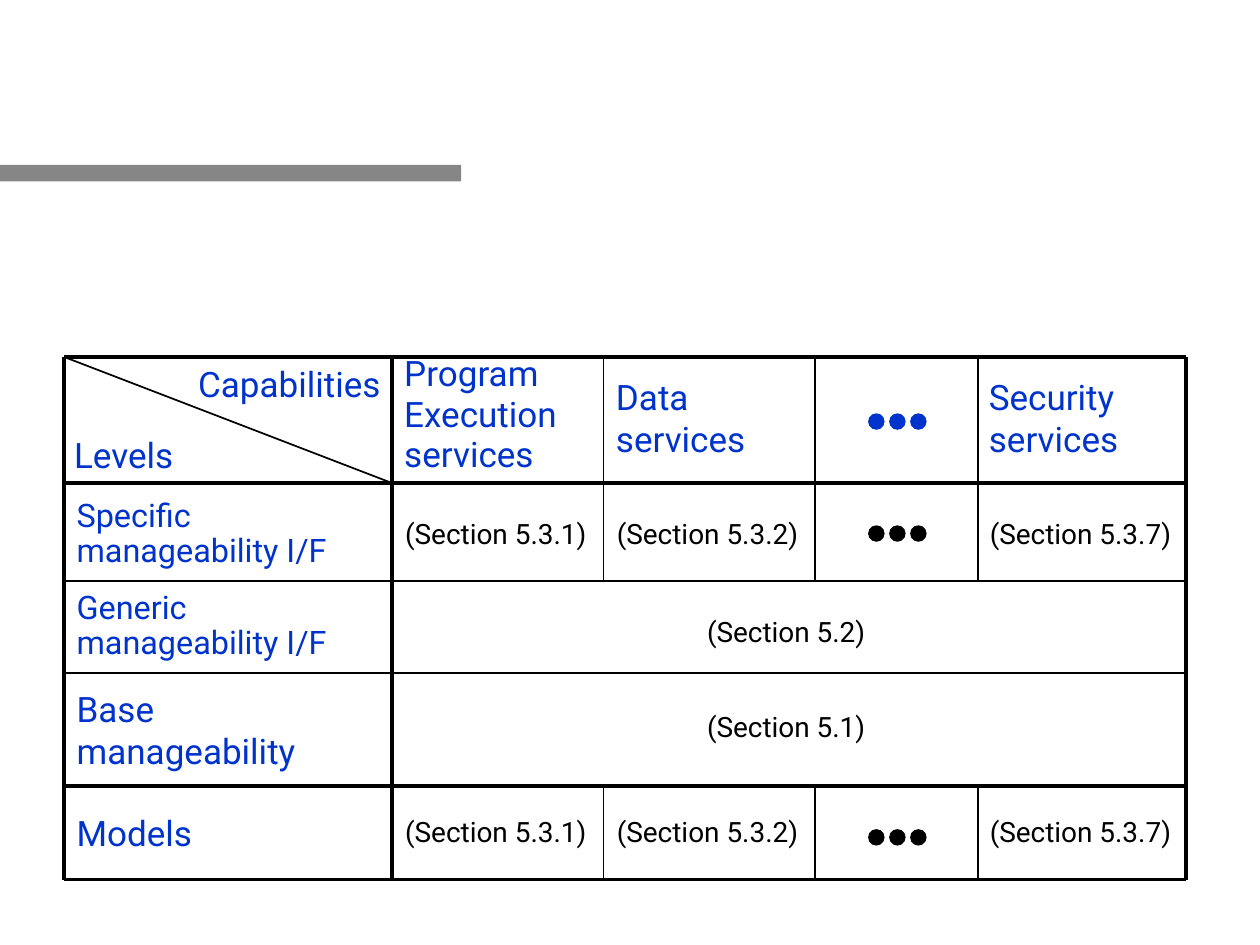
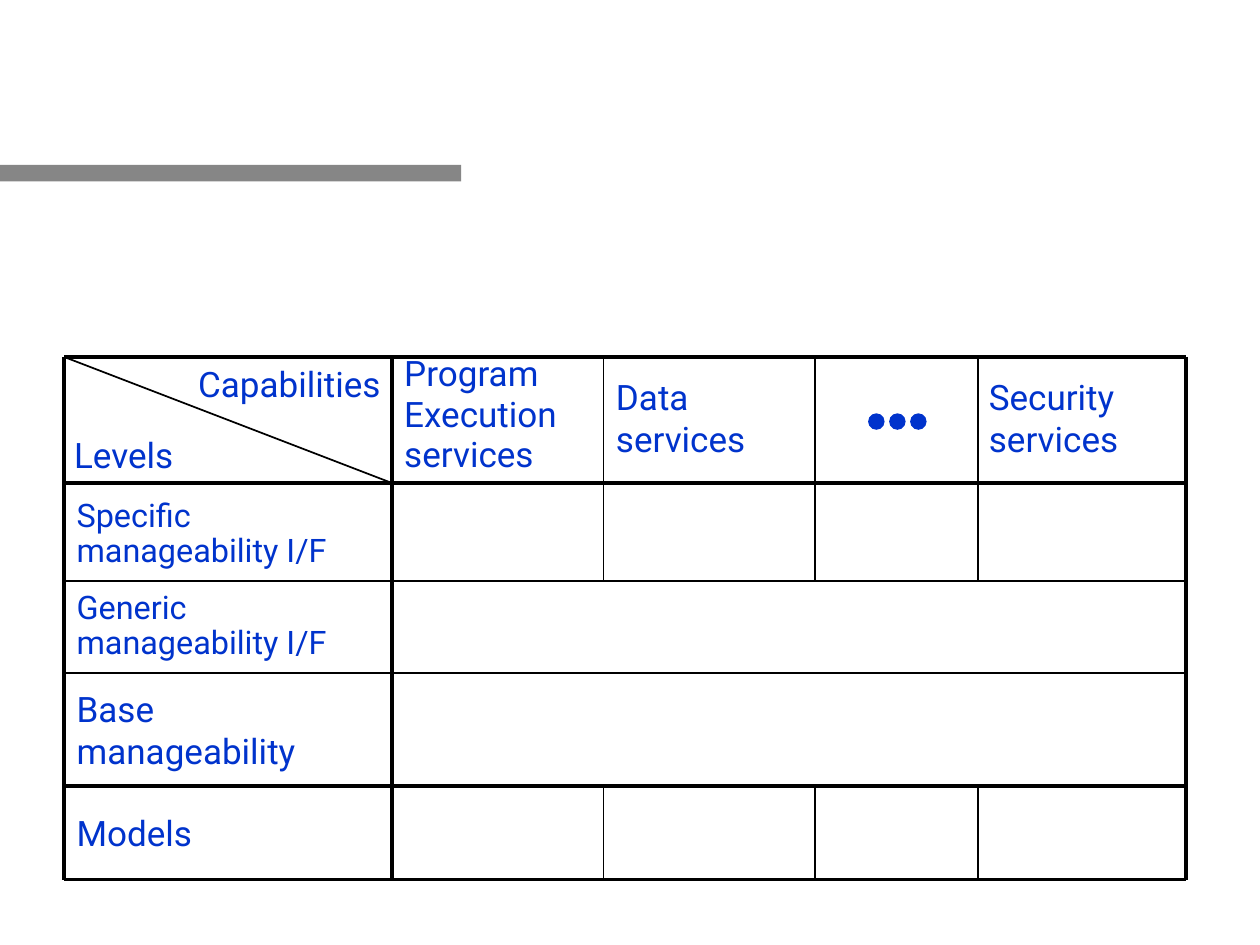
from lxml import etree
from pptx import Presentation
from pptx.dml.color import RGBColor
from pptx.enum import shapes, text
from pptx.oxml import ns
from pptx.util import Pt

BLUE, BLACK, GRAY = "0033CC", "000000", "868686"
THICK, THIN = 2.25, 1
COLS = [36.7, 223.9, 344.9, 465.8, 558.7, 677.5]
ROWS = [204, 276, 332, 384.5, 449.3, 502.6]
LEFT, RIGHT, TOP, BOTTOM = COLS[0], COLS[-1], ROWS[0], ROWS[-1]
LABEL_W, SERVICE_W, SECTION_W = 187.2, 121, 118.8
SECTION_H = 26.6

LINES = [(LEFT, y, RIGHT, y, THIN if y in ROWS[2:4] else THICK) for y in ROWS]
LINES += [(x, TOP, x, BOTTOM, THICK) for x in (LEFT, COLS[1], RIGHT)]
LINES += [(x, y1, x, y2, THIN) for x in COLS[2:5]
          for y1, y2 in ((TOP, ROWS[2]), (ROWS[4], BOTTOM))]
LINES.append((LEFT, TOP, COLS[1], ROWS[1], THIN))

LEVELS = [
    ("Specific manageability I/F", 278.6, ROWS[2], 18.5, 0.9),
    ("Generic manageability I/F", ROWS[2], ROWS[3], 18.5, 0.9),
    ("Base manageability", ROWS[3], ROWS[4], 20, 1),
    ("Models", ROWS[4], BOTTOM, 20, 1),
]
SERVICES = [
    ("Program\nExecution\nservices", COLS[1], 0.75),
    ("Data services", COLS[2], 1),
    ("Security services", 558, 1),
]
SECTIONS = [(f"(Section 5.3.{n})", x, y, SECTION_W)
            for y in (291.6, 462.2)
            for n, x in ((1, COLS[1]), (2, COLS[2]), (7, 558))]
SECTIONS += [("(Section 5.2)", 396.7, 347.8, 105.1),
             ("(Section 5.1)", 396.7, 401.8, 105.1)]


def rgb(value):
    return RGBColor.from_string(value)


def add_text(s, content, x, y, w, h, size=20, color=BLUE, spacing=1, wrap=True,
             align=text.PP_ALIGN.LEFT, anchor=text.MSO_ANCHOR.MIDDLE):
    tf = s.shapes.add_textbox(Pt(x), Pt(y), Pt(w), Pt(h)).text_frame
    tf.word_wrap = wrap
    tf.vertical_anchor = anchor
    for i, line in enumerate(content.split("\n")):
        p = tf.add_paragraph() if i else tf.paragraphs[0]
        p.alignment = align
        p.line_spacing = spacing
        p.space_before = Pt(5 if i else 0)
        r = p.add_run()
        r.text = line
        r.font.name = "Roboto"
        r.font.size = Pt(size)
        r.font.color.rgb = rgb(color)


prs = Presentation()
prs.slide_width, prs.slide_height = Pt(720), Pt(540)

for with_sections in (True, False):
    s = prs.slides.add_slide(prs.slide_layouts[6])
    fills = [(shapes.MSO_SHAPE.RECTANGLE, 0, 94.3, 263.5, 9.4, GRAY)]
    dot_rows = [(236.2, BLUE)]
    if with_sections:
        dot_rows += [(300.2, BLACK), (473.8, BLACK)]
    fills += [(shapes.MSO_SHAPE.OVAL, 496.1 + 12 * i, y, 9.4, 9.4, color)
              for y, color in dot_rows for i in range(3)]
    for kind, x, y, w, h, color in fills:
        sp = s.shapes.add_shape(kind, Pt(x), Pt(y), Pt(w), Pt(h))
        sp.shadow.inherit = False
        sp.fill.solid()
        sp.fill.fore_color.rgb = rgb(color)
        sp.line.fill.background()

    add_text(s, "Levels", 35.3, 244.1, 72, 31.7, wrap=False)
    add_text(s, "Capabilities", 101.5, 208.1, 123.1, 26.6, spacing=0.8,
             wrap=False, align=text.PP_ALIGN.RIGHT)
    for label, top, bottom, size, spacing in LEVELS:
        add_text(s, label, LEFT, top, LABEL_W, bottom - top, size=size, spacing=spacing)
    for label, x, spacing in SERVICES:
        add_text(s, label, x, 201.6, SERVICE_W, 74.2, spacing=spacing)

    for x1, y1, x2, y2, width in LINES:
        ln = s.shapes.add_connector(shapes.MSO_CONNECTOR.STRAIGHT,
                                    Pt(x1), Pt(y1), Pt(x2), Pt(y2))
        ln.line.color.rgb = rgb(BLACK)
        ln.line.width = Pt(width)
        etree.SubElement(ln._element.spPr, ns.qn("a:effectLst"))

    if with_sections:
        for label, x, y, w in SECTIONS:
            add_text(s, label, x, y, w, SECTION_H, size=16, color=BLACK, wrap=False,
                     align=text.PP_ALIGN.CENTER, anchor=text.MSO_ANCHOR.TOP)

prs.save("out.pptx")
